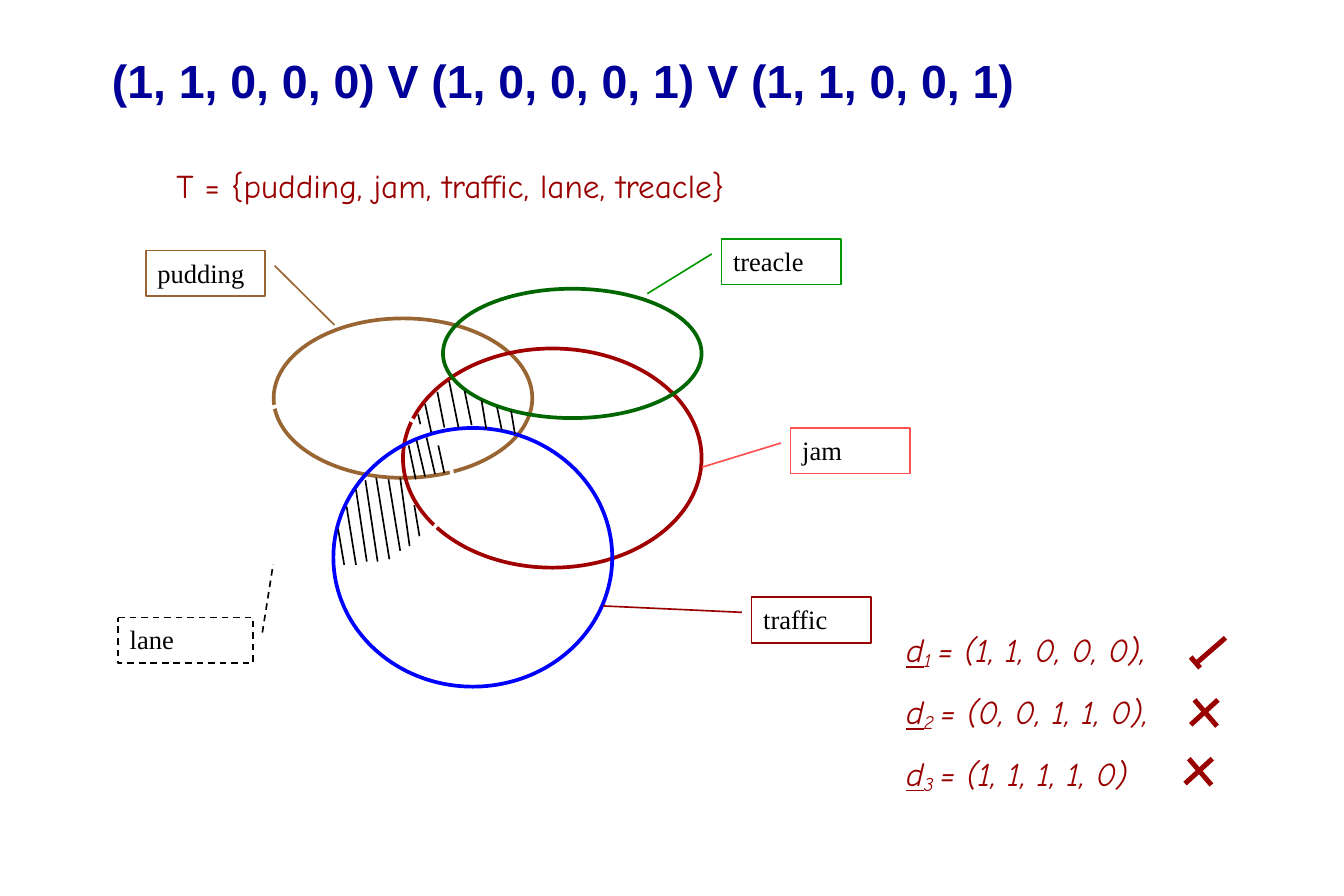
from dataclasses import dataclass
from typing import Any, NamedTuple

from lxml import etree
from pptx import Presentation
from pptx import util as u
from pptx.dml.color import RGBColor
from pptx.enum import dml, shapes, text
from pptx.oxml import ns


@dataclass(frozen=True)
class Theme:
    navy: str = "000099"
    maroon: str = "990000"
    black: str = "000000"
    white: str = "FFFFFF"
    title_font: str = "Arial"
    hand_font: str = "Comic Neue"
    label_font: str = "Times New Roman"
    title_size: int = 28
    body_size: int = 20
    label_size: int = 16
    thin: float = 1
    outline: float = 2.25
    mark: float = 3


class Area(NamedTuple):
    left: float
    top: float
    width: float
    height: float


class Stroke(NamedTuple):
    x1: float
    y1: float
    x2: float
    y2: float


class TermSet(NamedTuple):
    area: Area
    color: str


class Label(NamedTuple):
    term: str
    area: Area
    color: str
    leader: tuple[float, float, float, float]
    dashed: bool = False


class Mark(NamedTuple):
    left: float
    top: float
    strokes: list[Stroke]


THEME = Theme()
LABEL_WIDTH, LABEL_HEIGHT = 2.54, 0.97

TERM_SETS = [
    TermSet(Area(5.82, 6.77, 5.5, 3.39), "996633"),
    TermSet(Area(8.57, 7.41, 6.35, 4.66), "A00000"),
    TermSet(Area(4.34, 8.47, 5.29, 3.6), THEME.white),
    TermSet(Area(7.09, 9.1, 5.93, 5.5), "0000FF"),
    TermSet(Area(9.42, 6.14, 5.5, 2.75), "006600"),
]
LABELS = [
    Label("pudding", Area(3.1, 5.33, LABEL_WIDTH, LABEL_HEIGHT), "996633", (0.33, 1.08, 1.63, 1.58)),
    Label("jam", Area(16.81, 9.1, LABEL_WIDTH, LABEL_HEIGHT), "FF5050", (0.33, -0.08, 0.86, -0.74)),
    Label("traffic", Area(15.98, 12.7, LABEL_WIDTH, LABEL_HEIGHT), THEME.maroon, (0.33, -0.08, 0.19, -1.24)),
    Label("lane", Area(2.51, 13.13, 2.87, LABEL_HEIGHT), THEME.black, (0.33, 1.07, -1.17, 1.15), True),
    Label("treacle", Area(15.34, 5.08, LABEL_WIDTH, LABEL_HEIGHT), "009900", (0.33, -0.08, 1.2, -0.62)),
]
TICK = [Stroke(0, 0.41, 0.2, 0.64), Stroke(0.13, 0.53, 0.74, 0)]
CROSS = [Stroke(0.08, 0, 0.56, 0.56), Stroke(0, 0.53, 0.58, 0)]
MARKS = [Mark(25.32, 13.56, TICK), Mark(25.32, 14.88, CROSS), Mark(25.2, 16.13, CROSS)]
HATCHES = [
    [
        Stroke(8.89, 8.81, 8.94, 9.02), Stroke(9.04, 8.59, 9.17, 9.19),
        Stroke(9.3, 8.33, 9.45, 9.09), Stroke(9.55, 8.1, 9.75, 9.09),
        Stroke(9.88, 8.31, 10.03, 9.04), Stroke(10.24, 8.51, 10.34, 9.12),
        Stroke(10.57, 8.66, 10.67, 9.14), Stroke(10.87, 8.74, 10.95, 9.22),
    ],
    [
        Stroke(7.19, 11.25, 7.32, 12.01), Stroke(7.37, 10.77, 7.57, 12.01),
        Stroke(7.57, 10.41, 7.8, 11.94), Stroke(7.77, 10.21, 8.03, 11.94),
        Stroke(8, 10.16, 8.28, 11.89), Stroke(8.26, 10.19, 8.51, 11.71),
        Stroke(8.51, 10.16, 8.71, 11.61), Stroke(8.81, 10.74, 8.92, 11.4),
    ],
    [
        Stroke(8.69, 9.47, 8.84, 10.19), Stroke(8.86, 9.37, 9.04, 10.13),
        Stroke(9.07, 9.3, 9.25, 10.08), Stroke(9.32, 9.47, 9.45, 10.06),
    ],
]
VECTORS = ["= (1, 1, 0, 0, 0),", "= (0, 0, 1, 1, 0),", "= (1, 1, 1, 1, 0)"]


def place(area: Area) -> list[u.Length]:
    return [u.Cm(length) for length in area]


def set_all(target: Any, values: dict[str, Any]) -> None:
    for name, value in values.items():
        setattr(target, name, value)


def add_span(para: Any, words: str, color: str, name: str, size: int, **extra: Any) -> Any:
    span = para.add_run()
    span.text = words
    set_all(span.font, {"name": name, "size": u.Pt(size), **extra})
    span.font.color.rgb = RGBColor.from_string(color)
    return span


def set_line(item: Any, color: str, width: float) -> None:
    item.line.color.rgb = RGBColor.from_string(color)
    item.line.width = u.Pt(width)


def add_text_box(page: Any, area: Area, **frame_values: Any) -> Any:
    frame = page.shapes.add_textbox(*place(area)).text_frame
    set_all(frame, {"word_wrap": True, **frame_values})
    return frame


def add_term_set(page: Any, term_set: TermSet) -> None:
    ellipse = page.shapes.add_shape(shapes.MSO_SHAPE.OVAL, *place(term_set.area))
    ellipse.shadow.inherit = False
    ellipse.fill.background()
    set_line(ellipse, term_set.color, THEME.outline)


def add_label(page: Any, label: Label) -> None:
    callout = page.shapes.add_shape(shapes.MSO_SHAPE.LINE_CALLOUT_1, *place(label.area))
    for index, value in enumerate(label.leader):
        callout.adjustments[index] = value
    callout.shadow.inherit = False
    callout.fill.solid()
    callout.fill.fore_color.rgb = RGBColor.from_string(THEME.white)
    set_line(callout, label.color, THEME.thin)
    if label.dashed:
        callout.line.dash_style = dml.MSO_LINE.DASH
    frame = callout.text_frame
    set_all(frame, {"word_wrap": True, "vertical_anchor": text.MSO_ANCHOR.TOP})
    para = frame.paragraphs[0]
    para.alignment = text.PP_ALIGN.LEFT
    add_span(para, label.term, THEME.black, THEME.label_font, THEME.label_size)


def add_strokes(page: Any, strokes: list[Stroke], color: str, width: float,
                left: float = 0, top: float = 0) -> None:
    group = page.shapes.add_group_shape()
    for stroke in strokes:
        line = group.shapes.add_connector(
            shapes.MSO_CONNECTOR.STRAIGHT,
            u.Cm(left + stroke.x1), u.Cm(top + stroke.y1),
            u.Cm(left + stroke.x2), u.Cm(top + stroke.y2))
        set_line(line, color, width)
        etree.SubElement(line._element.spPr, ns.qn("a:effectLst"))


def add_vectors(page: Any) -> None:
    frame = add_text_box(page, Area(19.02, 13.26, 6.55, 5.2))
    style = {"color": THEME.maroon, "name": THEME.hand_font, "size": THEME.body_size, "italic": True}
    for number, vector in enumerate(VECTORS, start=1):
        para = frame.paragraphs[0] if number == 1 else frame.add_paragraph()
        if number > 1:
            para.space_before = u.Pt(12)
        add_span(para, "d", underline=True, **style)
        subscript = add_span(para, f"{number} ", **style)
        subscript._r.get_or_add_rPr().set("baseline", "-15000")
        add_span(para, vector, **style)


def main() -> None:
    deck = Presentation()
    set_all(deck, {"slide_width": u.Cm(28.58), "slide_height": u.Cm(19.05)})
    page = deck.slides.add_slide(deck.slide_layouts[6])
    add_vectors(page)
    title = add_text_box(page, Area(2.13, 0.84, 24.28, 1.7), vertical_anchor=text.MSO_ANCHOR.MIDDLE)
    add_span(title.paragraphs[0], "(1, 1, 0, 0, 0) V (1, 0, 0, 0, 1) V (1, 1, 0, 0, 1)",
             THEME.navy, THEME.title_font, THEME.title_size, bold=True)
    terms = add_text_box(page, Area(3.5, 3.38, 15.44, 1.09))
    add_span(terms.paragraphs[0], "T = {pudding, jam, traffic, lane, treacle}",
             THEME.maroon, THEME.hand_font, THEME.body_size)
    for term_set in TERM_SETS:
        add_term_set(page, term_set)
    for label in LABELS:
        add_label(page, label)
    for hatch in HATCHES:
        add_strokes(page, hatch, THEME.black, THEME.thin)
    for mark in MARKS:
        add_strokes(page, mark.strokes, THEME.maroon, THEME.mark, mark.left, mark.top)
    deck.save("out.pptx")


if __name__ == "__main__":
    main()
